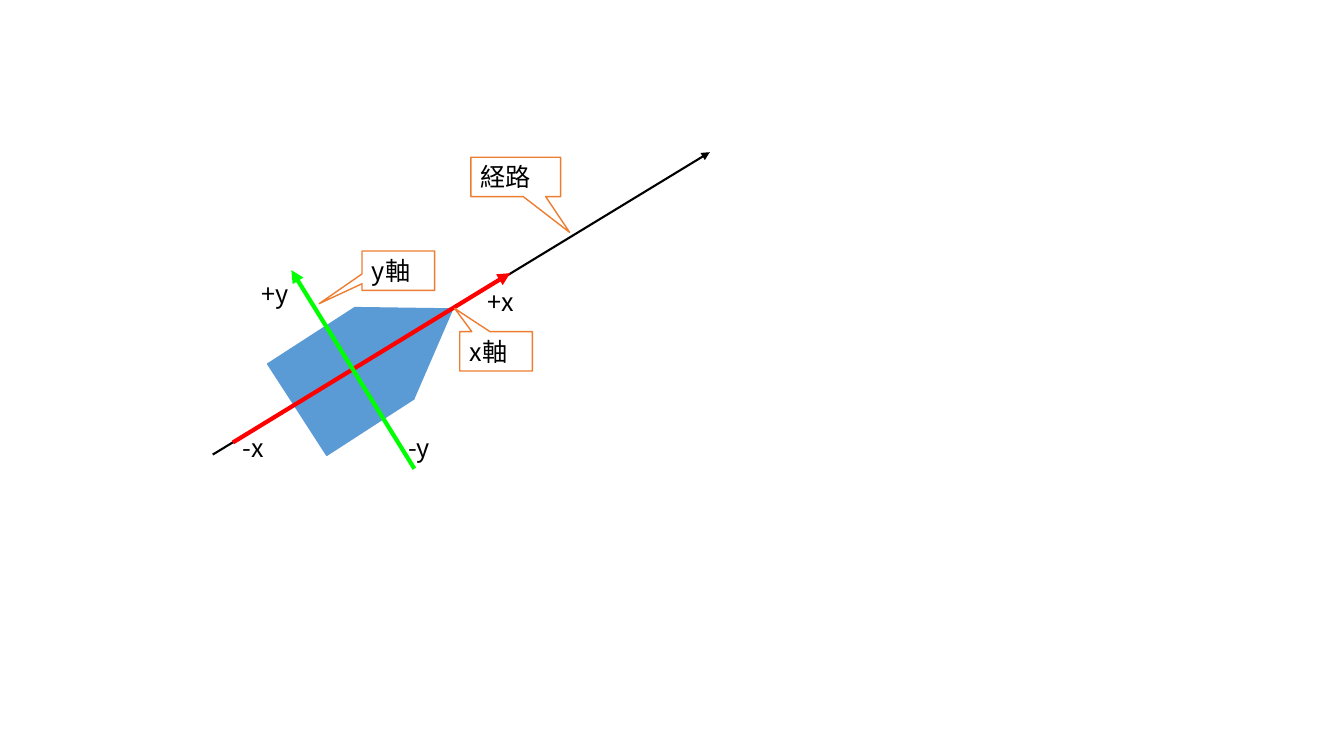
import pptx
import pptx.dml.color
import pptx.enum.shapes
import pptx.enum.text
import pptx.oxml
import pptx.oxml.ns
import pptx.util
from pptx.util import Inches

COLOURS = {
    "text": "000000",
    "path": "000000",
    "hull": "5B9BD5",
    "x_axis": "FF0000",
    "y_axis": "00FF00",
    "callout_fill": "FFFFFF",
    "callout_line": "ED7D31",
}
FONT = "Noto Sans CJK JP"
SHAPES = pptx.enum.shapes.MSO_SHAPE


def colour(name):
    """Return the named colour as an RGBColor."""
    return pptx.dml.color.RGBColor.from_string(COLOURS[name])


def add_arrow(slide, start, end, colour_name, width):
    """Draw a straight arrow with its head at the end point."""
    arrow = slide.shapes.add_connector(
        pptx.enum.shapes.MSO_CONNECTOR.STRAIGHT,
        *[Inches(length) for length in (*start, *end)])
    arrow.line.color.rgb = colour(colour_name)
    arrow.line.width = pptx.util.Pt(width)
    head = pptx.oxml.ns.qn("a:tailEnd")
    arrow.line._get_or_add_ln().append(
        pptx.oxml.parse_xml(
            '<a:tailEnd xmlns:a="http://schemas.openxmlformats.org/drawingml/2006/main"'
            ' type="triangle"/>'))
    effects = arrow._element.spPr.makeelement(pptx.oxml.ns.qn("a:effectLst"), {})
    arrow._element.spPr.append(effects)


def add_box(shapes, kind, box, fill, line):
    """Add a filled, outlined preset shape without a shadow."""
    shape = shapes.add_shape(kind, *[Inches(length) for length in box])
    shape.shadow.inherit = False
    shape.fill.solid()
    shape.fill.fore_color.rgb = colour(fill)
    shape.line.color.rgb = colour(line)
    shape.line.width = pptx.util.Pt(1)
    return shape


def write_text(shape, text):
    """Write one left-aligned run in the label style."""
    shape.text_frame.word_wrap = True
    paragraph = shape.text_frame.paragraphs[0]
    paragraph.alignment = pptx.enum.text.PP_ALIGN.LEFT
    run = paragraph.add_run()
    run.text = text
    run.font.size = pptx.util.Pt(18)
    run.font.name = FONT
    run.font.color.rgb = colour("text")
    east_asian = run.font._element.makeelement(
        pptx.oxml.ns.qn("a:ea"), {"typeface": FONT})
    run.font._element.find(pptx.oxml.ns.qn("a:latin")).addnext(east_asian)


def add_vehicle(slide):
    """Group the rotated nose and body of the vehicle."""
    group = slide.shapes.add_group_shape()
    for kind, box in ((SHAPES.ISOSCELES_TRIANGLE, (3.61, 2.88, 1.08, 0.81)),
                      (SHAPES.RECTANGLE, (2.84, 3.27, 1.08, 1.03))):
        add_box(group.shapes, kind, box, "hull", "hull").rotation = 57.1


def add_callout(slide, text, left, top, width, pointer):
    """Add a callout whose pointer is given relative to its centre."""
    callout = add_box(slide.shapes, SHAPES.RECTANGULAR_CALLOUT,
                      (left, top, width, 0.39), "callout_fill", "callout_line")
    for index, offset in enumerate(pointer):
        callout.adjustments[index] = offset
    callout.text_frame.vertical_anchor = pptx.enum.text.MSO_ANCHOR.MIDDLE
    write_text(callout, text)


def add_label(slide, text, left, top):
    """Add a direction label beside an axis end."""
    label = slide.shapes.add_textbox(
        Inches(left), Inches(top), Inches(0.7), Inches(0.4))
    write_text(label, text)
    label.text_frame.auto_size = pptx.enum.text.MSO_AUTO_SIZE.SHAPE_TO_FIT_TEXT


def main():
    """Build the slide of the vehicle axes along a path."""
    presentation = pptx.Presentation()
    presentation.slide_width = Inches(13.33)
    presentation.slide_height = Inches(7.5)
    slide = presentation.slides.add_slide(presentation.slide_layouts[6])

    add_arrow(slide, (2.11, 4.51), (7.04, 1.51), "path", 1.5)
    add_vehicle(slide)
    add_arrow(slide, (2.31, 4.39), (5.06, 2.71), "x_axis", 3)
    add_arrow(slide, (4.11, 4.65), (2.89, 2.68), "y_axis", 3)

    add_callout(slide, "経路", 4.67, 1.56, 0.89, (0.6, 1.41))
    add_callout(slide, "x軸", 4.56, 3.29, 0.72, (-0.57, -1.09))
    add_callout(slide, "y軸", 3.59, 2.49, 0.72, (-1.09, 0.84))

    for text, left, top in (("-y", 3.95, 4.24), ("+y", 2.5, 2.71),
                            ("+x", 4.74, 2.79), ("-x", 2.31, 4.24)):
        add_label(slide, text, left, top)

    presentation.save("out.pptx")


main()
